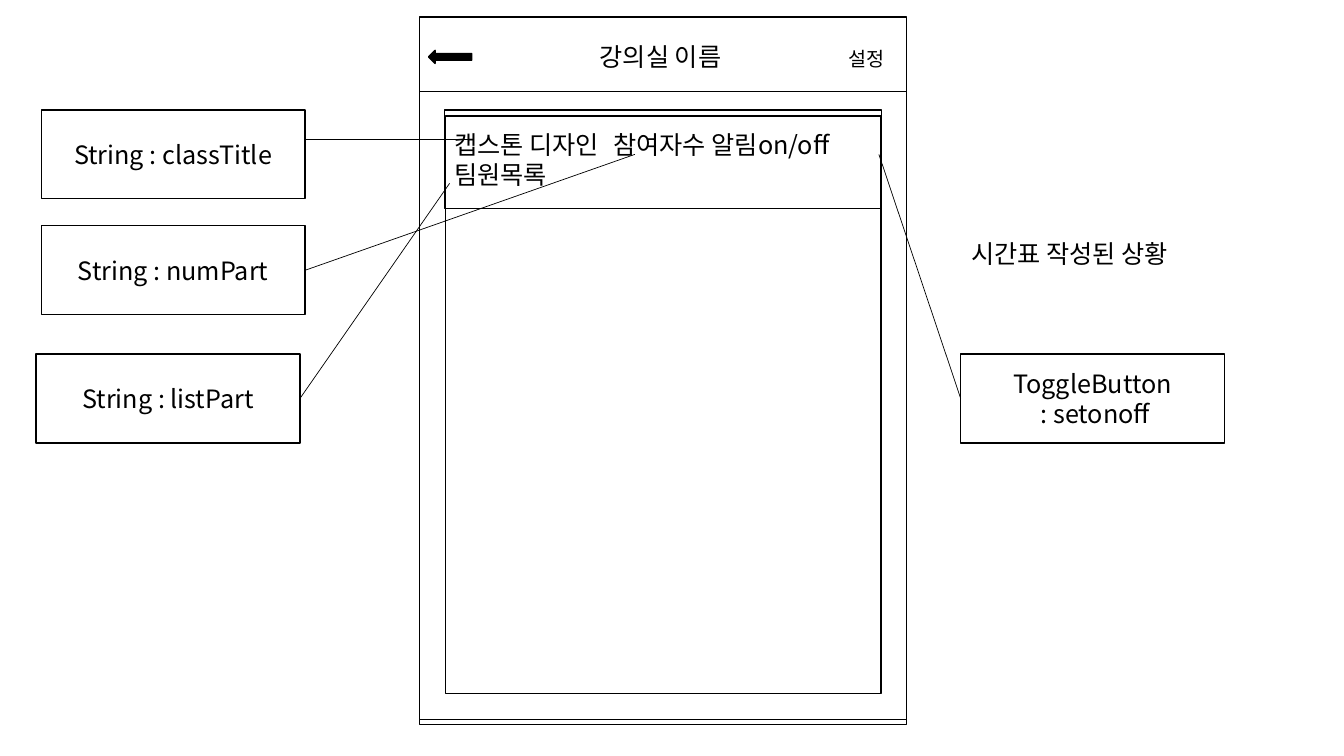
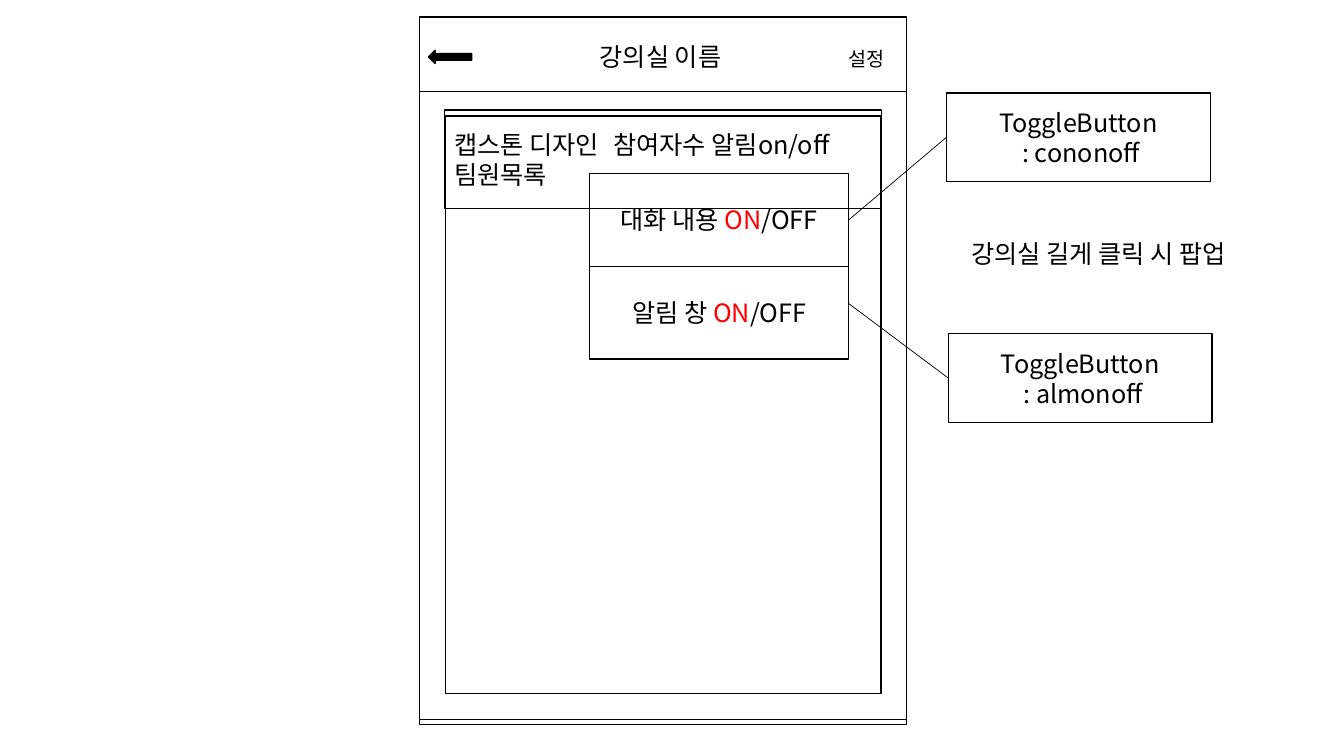
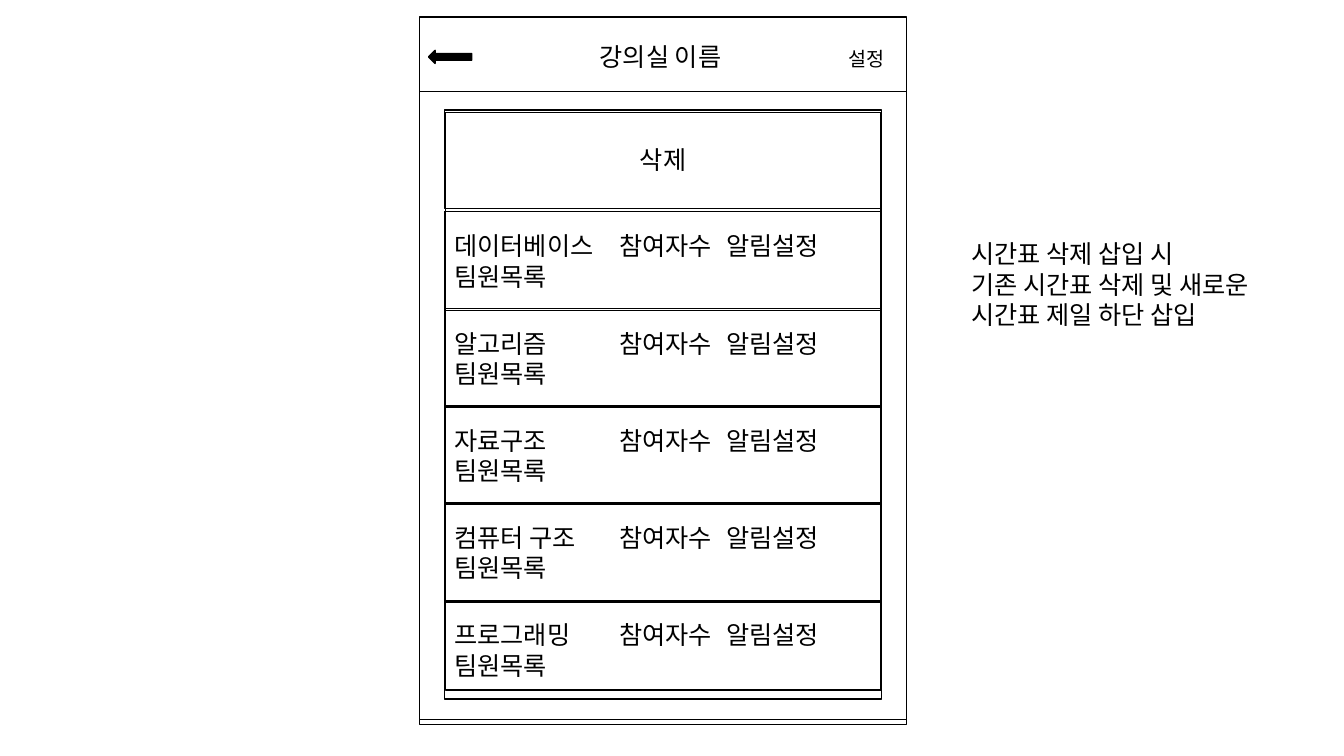
from lxml.etree import SubElement
from pptx import Presentation
from pptx.dml.color import RGBColor
from pptx.enum.shapes import MSO_CONNECTOR as Wire, MSO_SHAPE as Preset
from pptx.enum.text import MSO_ANCHOR as Anchor, MSO_AUTO_SIZE as Fit, PP_ALIGN as Align
from pptx.oxml.ns import qn
from pptx.util import Cm, Pt

FONT = "Noto Sans CJK KR"
BLACK, WHITE, RED = "000000", "FFFFFF", "FF0000"
LEFT_SIDE, RIGHT_SIDE = 1, 3
ROW_LEFT, ROW_TOP, ROW_WIDTH, ROW_HEIGHT = 11.2, 2.77, 11.02, 2.49


def color(value):
    return RGBColor.from_string(value)


class Wireframe:
    """Holds the deck, its line and text style, and the current page."""

    def __init__(self):
        self.deck = Presentation()
        self.deck.slide_width, self.deck.slide_height = Cm(33.87), Cm(19.05)
        self.page = None

    def add_lines(self, frame, lines, align=Align.LEFT, size=18, tabs=()):
        for index, line in enumerate(lines):
            para = frame.paragraphs[0] if index == 0 else frame.add_paragraph()
            para.alignment = align
            if tabs:
                stops = SubElement(para._p.get_or_add_pPr(), qn("a:tabLst"))
                for stop in tabs:
                    SubElement(stops, qn("a:tab"), pos=str(Cm(stop)), algn="l")
            for text, tint in [(line, BLACK)] if isinstance(line, str) else line:
                span = para.add_run()
                span.text = text
                span.font.size = Pt(size)
                span.font.color.rgb = color(tint)
                span.font.name = FONT
                SubElement(span._r.get_or_add_rPr(), qn("a:ea"), typeface=FONT)

    def box(self, left, top, width, height, lines=(), fill=None,
            preset=Preset.RECTANGLE, align=Align.CENTER, tabs=()):
        box = self.page.shapes.add_shape(preset, Cm(left), Cm(top), Cm(width), Cm(height))
        box.shadow.inherit = False
        if fill:
            box.fill.solid()
            box.fill.fore_color.rgb = color(fill)
        else:
            box.fill.background()
        box.line.color.rgb = color(BLACK)
        box.line.width = Pt(1)
        box.text_frame.vertical_anchor = Anchor.MIDDLE
        self.add_lines(box.text_frame, lines, align, tabs=tabs)
        return box

    def label(self, left, top, *lines):
        return self.box(left, top, 6.65, 2.24, lines)

    def row(self, top, *lines, tabs=(), align=Align.LEFT):
        return self.box(ROW_LEFT, top, ROW_WIDTH, ROW_HEIGHT, lines, align=align, tabs=tabs)

    def class_row(self):
        return self.row(ROW_TOP, "캡스톤 디자인\t참여자수 알림on/off", "팀원목록", tabs=[4.01])

    def text(self, left, top, width, height, *lines, size=18):
        box = self.page.shapes.add_textbox(Cm(left), Cm(top), Cm(width), Cm(height))
        box.text_frame.word_wrap = True
        box.text_frame.auto_size = Fit.SHAPE_TO_FIT_TEXT
        self.add_lines(box.text_frame, lines, size=size)

    def note(self, height, *lines):
        self.text(24.23, 5.89, 9.04, height, *lines)

    def line(self, start, end, begin=None, finish=None):
        wire = self.page.shapes.add_connector(Wire.STRAIGHT, *map(Cm, start + end))
        if begin:
            wire.begin_connect(*begin)
        if finish:
            wire.end_connect(*finish)
        wire.line.color.rgb = color(BLACK)
        wire.line.width = Pt(0.5)
        SubElement(wire.element.spPr, qn("a:effectLst"))

    def title(self, text):
        title = self.page.shapes.title
        title.left, title.top, title.width, title.height = map(Cm, (14.86, 0.91, 4.17, 1.02))
        title.text_frame.word_wrap = False
        title.text_frame.auto_size = Fit.SHAPE_TO_FIT_TEXT
        title.text_frame.vertical_anchor = Anchor.TOP
        self.add_lines(title.text_frame, [text])
        self.page.shapes.element.append(title.element)

    def phone(self, list_top=2.92):
        self.page = self.deck.slides.add_slide(self.deck.slide_layouts[5])
        for top in (0.56, 0.43):
            self.box(10.57, top, 12.27, 17.7, fill=WHITE)
        self.line((10.57, 2.29), (22.84, 2.29))
        self.title("강의실 이름")
        self.box(10.8, 1.27, 1.09, 0.33, fill=BLACK, preset=Preset.LEFT_ARROW)
        self.text(21.13, 1.07, 2.13, 0.86, "설정", size=14)
        self.box(11.23, list_top, 10.97, 14.55, fill=WHITE)


def timetable_page(kit):
    kit.phone()
    kit.note(1.02, "시간표 작성된 상황")
    kit.class_row()
    kit.label(1.04, 2.77, "String : classTitle")
    kit.line((7.69, 3.51), (11.89, 3.51))
    number = kit.label(1.04, 5.69, "String : numPart")
    kit.line((7.69, 6.81), (16, 3.89), begin=(number, RIGHT_SIDE))
    members = kit.label(0.91, 8.92, "String : listPart")
    kit.line((7.56, 10.04), (11.33, 4.62), begin=(members, RIGHT_SIDE))
    toggle = kit.label(24.21, 8.92, "ToggleButton", " : setonoff")
    kit.line((24.21, 10.04), (22.15, 3.89), begin=(toggle, LEFT_SIDE))


def popup_page(kit):
    kit.phone()
    kit.note(1.02, "강의실 길게 클릭 시 팝업")
    kit.class_row()
    options = [
        kit.box(14.86, 4.37 + index * 2.34, 6.53, 2.34,
                [[(name, BLACK), ("ON", RED), ("/OFF", BLACK)]])
        for index, name in enumerate(("대화 내용 ", "알림 창 "))
    ]
    talk = kit.label(23.85, 2.34, "ToggleButton", " : cononoff")
    alarm = kit.label(23.9, 8.41, "ToggleButton", " : almonoff")
    kit.line((23.9, 9.53), (21.39, 7.65), begin=(alarm, LEFT_SIDE))
    kit.line((21.39, 5.54), (23.85, 3.46), (options[0], RIGHT_SIDE), (talk, LEFT_SIDE))


def replacement_page(kit):
    kit.phone(list_top=2.84)
    kit.note(2.57, "시간표 삭제 삽입 시", "기존 시간표 삭제 및 새로운 시간표 제일 하단 삽입")
    kit.row(ROW_TOP, "삭제", align=Align.CENTER)
    courses = ("데이터베이스", "알고리즘", "자료구조", "컴퓨터 구조", "프로그래밍")
    for index, course in enumerate(courses):
        kit.row(5.33 + index * 2.45, f"{course}\t참여자수\t알림설정", "팀원목록",
                tabs=[4.16, 6.85])


def main():
    kit = Wireframe()
    for build in (timetable_page, popup_page, replacement_page):
        build(kit)
    kit.deck.save("out.pptx")


if __name__ == "__main__":
    main()
